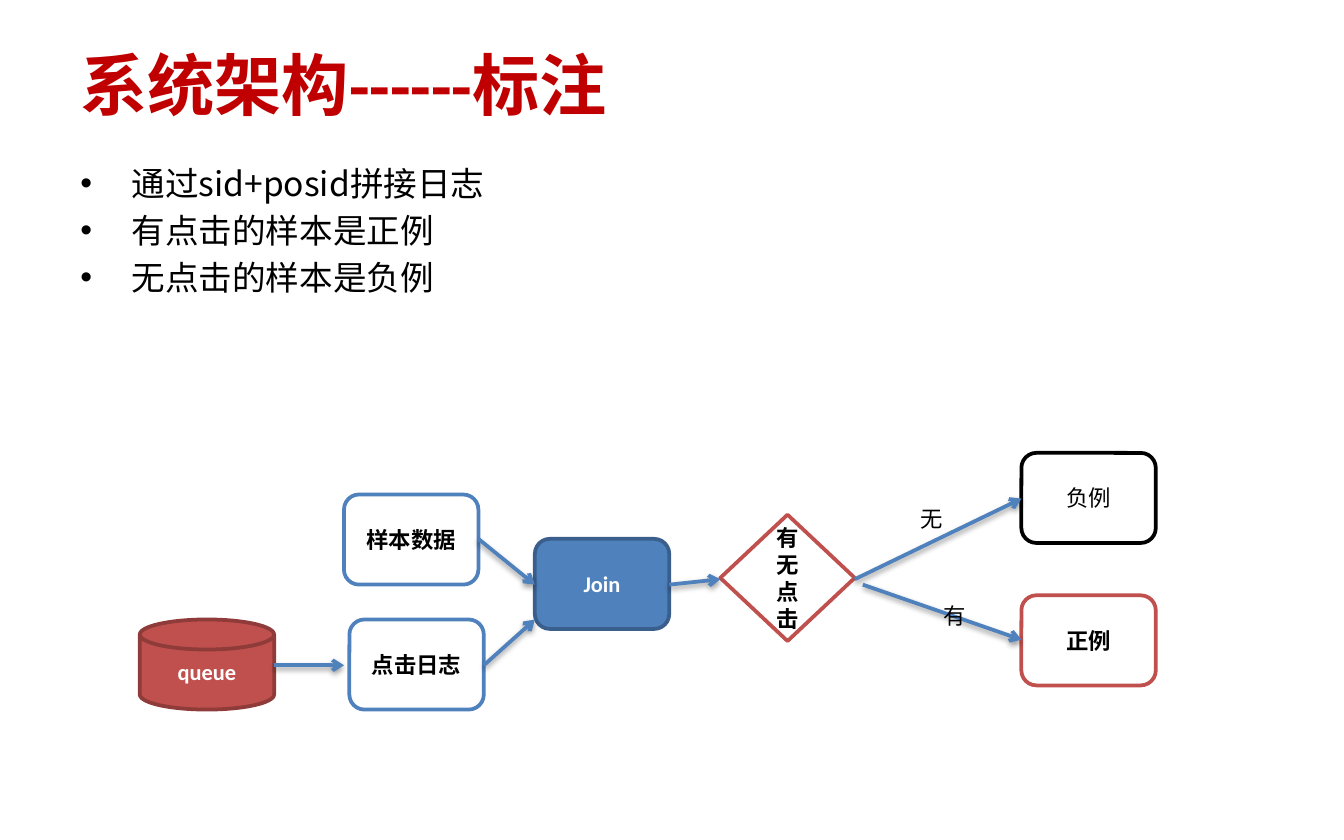
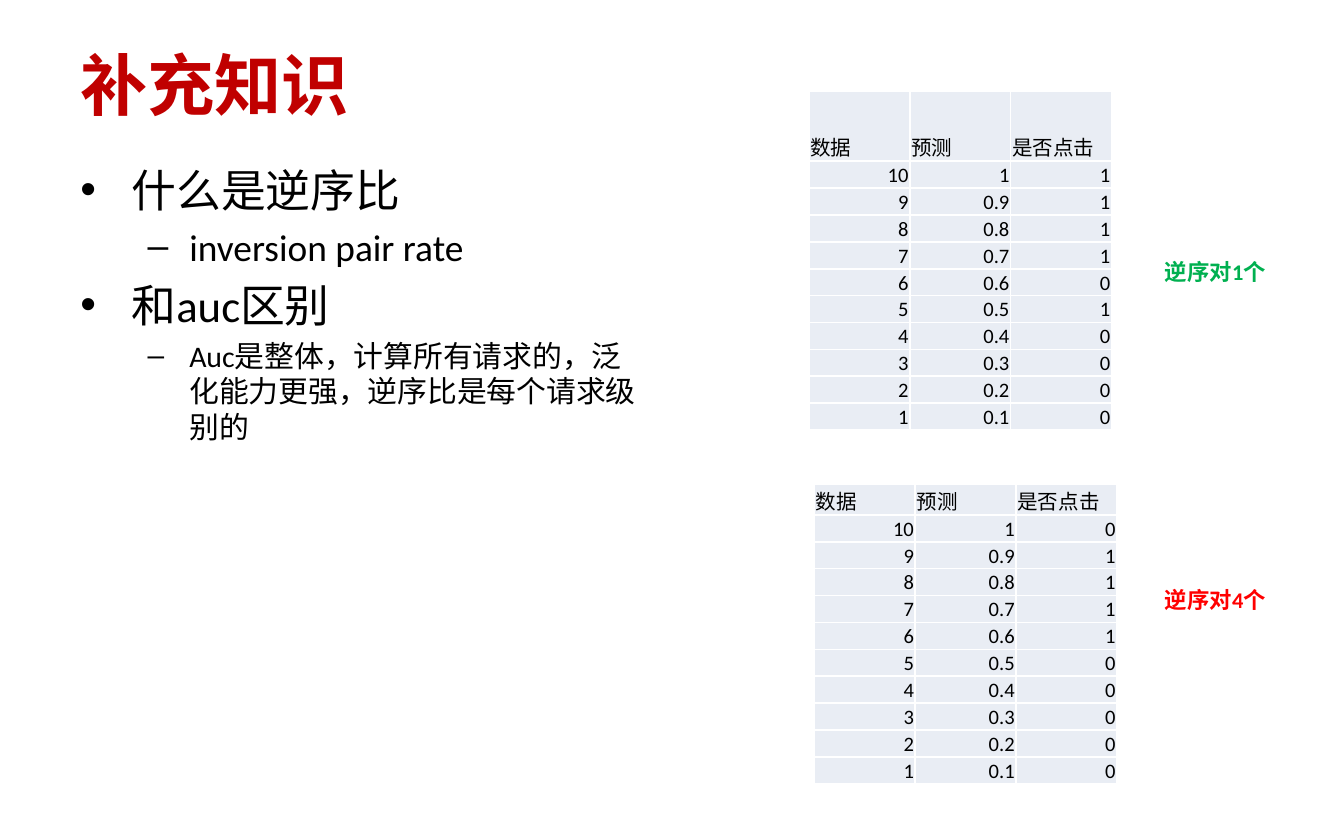
from lxml import etree
from pptx import Presentation
from pptx.dml.color import RGBColor
from pptx.enum.shapes import MSO_CONNECTOR, MSO_SHAPE
from pptx.enum.text import MSO_ANCHOR, PP_ALIGN
from pptx.oxml.ns import qn
from pptx.util import Inches, Pt

LEFT, CENTER, RIGHT = PP_ALIGN.LEFT, PP_ALIGN.CENTER, PP_ALIGN.RIGHT
MIDDLE, BOTTOM = MSO_ANCHOR.MIDDLE, MSO_ANCHOR.BOTTOM
ROUNDED = MSO_SHAPE.FLOWCHART_ALTERNATE_PROCESS
DECISION = MSO_SHAPE.FLOWCHART_DECISION
DISK = MSO_SHAPE.FLOWCHART_MAGNETIC_DISK
STRAIGHT = MSO_CONNECTOR.STRAIGHT

LATIN, CJK = "Calibri", "Noto Sans CJK SC"
BLACK, WHITE, TITLE_RED = "000000", "FFFFFF", "C00000"
BLUE, DARK_BLUE = "4F81BD", "3A5F8C"
RED, DARK_RED = "C0504D", "8E3B39"
CELL_TINT, GOOD_GREEN, BAD_RED = "E9EDF4", "00B050", "FF0000"

deck = Presentation()
deck.slide_width, deck.slide_height = Inches(10), Inches(6.25)

# The slide is a grid of 100 columns and 100 rows
COL, ROW = deck.slide_width / 100, deck.slide_height / 100
GRID = (COL, ROW, COL, ROW)


def colour(hex_code):
    return RGBColor.from_string(hex_code)


def write(paragraph, text, size, hex_code=BLACK, bold=False, align=LEFT, font=LATIN):
    paragraph.text = text
    paragraph.alignment = align
    for run in paragraph.runs:
        run.font.size, run.font.bold, run.font.name = Pt(size), bold, font
        run.font.color.rgb = colour(hex_code)
        east_asian = etree.Element(qn("a:ea"), typeface=CJK)
        run.font._element.find(qn("a:latin")).addnext(east_asian)


# Titles and bullet lists: text, level, size
pages = [
    ("系统架构------标注", CJK, (41.1, 31.5), [
        ("通过sid+posid拼接日志", 0, 18),
        ("有点击的样本是正例", 0, 18),
        ("无点击的样本是负例", 0, 18)]),
    ("补充知识", LATIN, (44.2, 55), [
        ("什么是逆序比", 0, 24),
        ("inversion pair rate", 1, 20),
        ("和auc区别", 0, 24),
        ("Auc是整体，计算所有请求的，泛化能力更强，逆序比是每个请求级别的", 1, 16)]),
]
BULLETS = [("•", 0.38, -0.38), ("–", 0.81, -0.31)]

for heading, body_font, body_size, points in pages:
    slide = deck.slides.add_slide(deck.slide_layouts[6])

    title = slide.shapes.add_textbox(*[round(v * u) for v, u in zip((5, 4, 90, 12), GRID)])
    title.text_frame.word_wrap = True
    title.text_frame.vertical_anchor = MIDDLE
    write(title.text_frame.paragraphs[0], heading, 36, TITLE_RED, True)

    body_box = (5, 18.56, *body_size)
    body = slide.shapes.add_textbox(*[round(v * u) for v, u in zip(body_box, GRID)])
    body.text_frame.word_wrap = True
    body.text_frame.text = "\n".join(text for text, _, _ in points)
    for paragraph, (text, level, size) in zip(body.text_frame.paragraphs, points):
        write(paragraph, text, size, font=body_font)
        paragraph.level = level
        paragraph.space_before = Pt(0.2 * size)
        mark, margin, indent = BULLETS[level]
        properties = paragraph._p.get_or_add_pPr()
        properties.set("marL", str(Inches(margin)))
        properties.set("indent", str(Inches(indent)))
        etree.SubElement(properties, qn("a:buFont"), typeface="Arial")
        etree.SubElement(properties, qn("a:buChar"), char=mark)

labelling, knowledge = deck.slides

# Flow steps: text, shape, left, top, height, fill, line, text colour, bold
STEP_W, STEP_H = 10, 10.72
steps = [
    ("样本数据", ROUNDED, 25.6, 58.88, STEP_H, WHITE, BLUE, BLACK, True),
    ("点击日志", ROUNDED, 26, 73.76, STEP_H, WHITE, BLUE, BLACK, True),
    ("Join", ROUNDED, 39.8, 64.16, STEP_H, BLUE, DARK_BLUE, WHITE, True),
    ("有无点击", DECISION, 53.6, 61.28, 15.04, WHITE, RED, BLACK, True),
    ("正例", ROUNDED, 76, 70.88, STEP_H, WHITE, RED, BLACK, True),
    ("负例", ROUNDED, 76, 53.92, STEP_H, WHITE, BLACK, BLACK, False),
    ("queue", DISK, 10.4, 73.76, STEP_H, RED, DARK_RED, WHITE, True),
]
for text, outline, left, top, height, fill, line, ink, bold in steps:
    step_box = (left, top, STEP_W, height)
    step = labelling.shapes.add_shape(outline, *[round(v * u) for v, u in zip(step_box, GRID)])
    step.shadow.inherit = False
    step.fill.solid()
    step.fill.fore_color.rgb = colour(fill)
    step.line.color.rgb = colour(line)
    step.line.width = Pt(2)
    step.text_frame.word_wrap = True
    step.text_frame.vertical_anchor = MIDDLE
    write(step.text_frame.paragraphs[0], text, 12, ink, bold, CENTER)

# Arrows between steps: start column and row, end column and row
arrows = [
    (35.6, 64.16, 39.8, 69.6),
    (36, 79.2, 39.8, 73.76),
    (49.8, 69.6, 53.6, 68.96),
    (63.6, 68.96, 76, 59.36),
    (64.2, 69.6, 76, 76.16),
    (20.4, 79.2, 25.6, 79.2),
]
for ends in arrows:
    arrow = labelling.shapes.add_connector(STRAIGHT, *[round(v * u) for v, u in zip(ends, GRID)])
    arrow.line.color.rgb = colour(BLUE)
    arrow.line.width = Pt(2)
    etree.SubElement(arrow.line._get_or_add_ln(), qn("a:tailEnd"), type="arrow")
    effects = etree.SubElement(arrow._element.spPr, qn("a:effectLst"))
    shadow = etree.SubElement(effects, qn("a:outerShdw"), blurRad=str(Pt(3.1)),
                              dist=str(Pt(1.6)), dir="5400000", rotWithShape="0")
    shade = etree.SubElement(shadow, qn("a:srgbClr"), val=BLACK)
    etree.SubElement(shade, qn("a:alpha"), val="38000")

# Branch labels and table remarks
remarks = [
    (labelling, "无", 67.5, 59.36, 3.7, BLACK, False),
    (labelling, "有", 69.2, 70.88, 3.7, BLACK, False),
    (knowledge, "逆序对1个", 85.7, 29.92, 9.6, GOOD_GREEN, True),
    (knowledge, "逆序对4个", 85.7, 68.96, 9.6, BAD_RED, True),
]
for slide, text, left, top, width, ink, wraps in remarks:
    remark_box = (left, top, width, 4.8)
    remark = slide.shapes.add_textbox(*[round(v * u) for v, u in zip(remark_box, GRID)])
    remark.text_frame.word_wrap = wraps
    write(remark.text_frame.paragraphs[0], text, 12, ink, bold=wraps)

# Ranking tables: left, top, header height, clicks from rank 10 to 1
ROW_H = 3.2
rankings = [
    (60.2, 10.88, 8.32, "1111010000"),
    (60.6, 57.6, 3.7, "0111100000"),
]
for left, top, header_height, clicks in rankings:
    rows = [("数据", "预测", "是否点击")]
    rows += [(str(n), f"{n / 10:g}", click) for n, click in zip(range(10, 0, -1), clicks)]
    table_box = (left, top, 22.5, header_height + 10 * ROW_H)
    ranking = knowledge.shapes.add_table(
        len(rows), 3, *[round(v * u) for v, u in zip(table_box, GRID)]).table
    ranking.first_row = ranking.horz_banding = False
    for column in ranking.columns:
        column.width = round(7.5 * COL)
    for r, values in enumerate(rows):
        ranking.rows[r].height = round((ROW_H if r else header_height) * ROW)
        for c, value in enumerate(values):
            cell = ranking.cell(r, c)
            cell.margin_left = cell.margin_right = cell.margin_top = Inches(0.01)
            cell.margin_bottom = 0
            cell.vertical_anchor = BOTTOM
            write(cell.text_frame.paragraphs[0], value, 11, align=RIGHT if r else LEFT)
            for side in ("lnL", "lnR", "lnT", "lnB"):
                border = etree.SubElement(cell._tc.get_or_add_tcPr(), qn(f"a:{side}"), w=str(Pt(1)))
                paint = etree.SubElement(border, qn("a:solidFill"))
                etree.SubElement(paint, qn("a:srgbClr"), val=WHITE)
            cell.fill.solid()
            cell.fill.fore_color.rgb = colour(CELL_TINT)

deck.save("out.pptx")
